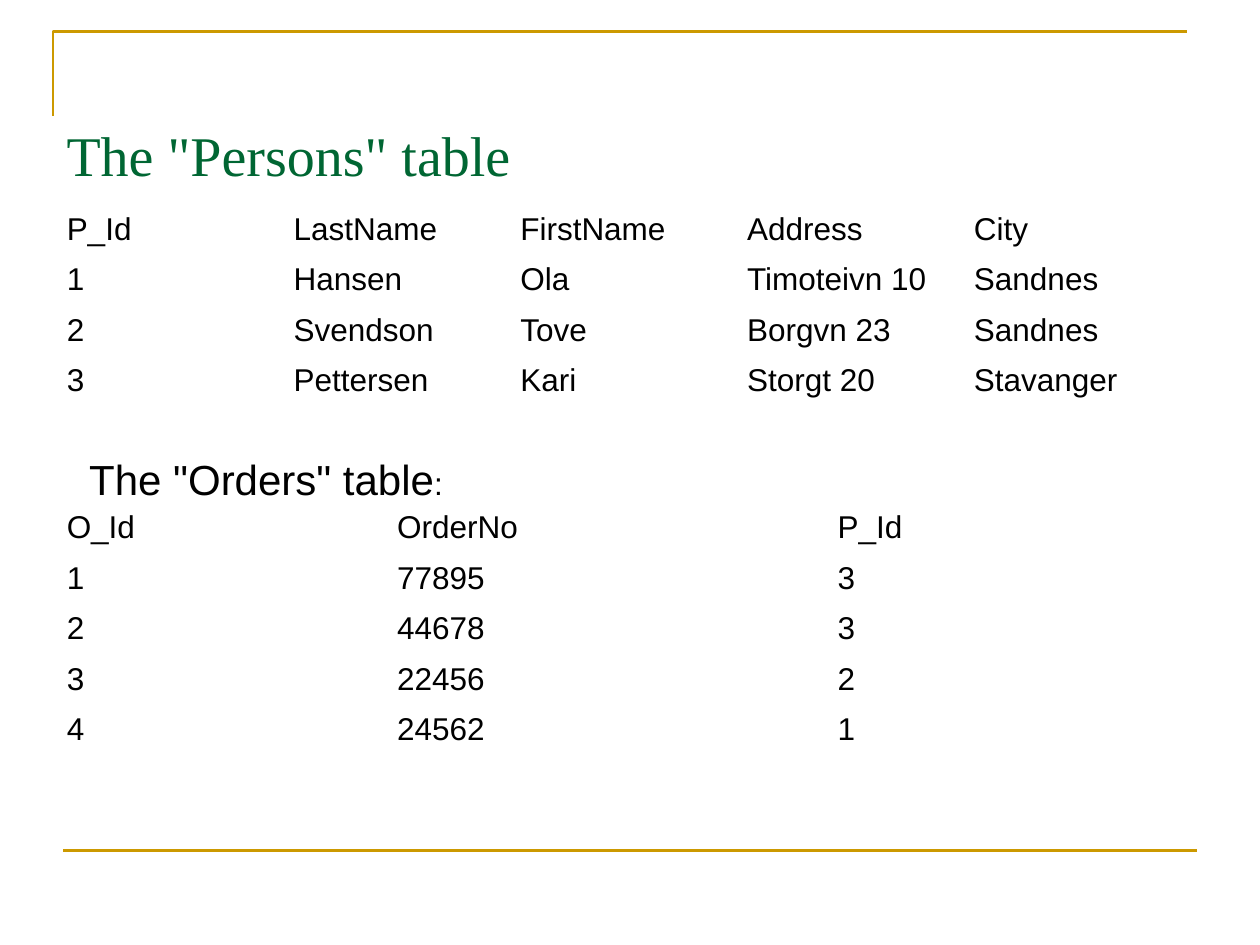
from pptx import Presentation
from pptx.dml.color import RGBColor
from pptx.enum.shapes import MSO_CONNECTOR
from pptx.enum.text import MSO_ANCHOR, MSO_AUTO_SIZE
from pptx.oxml.ns import qn
from pptx.util import Inches, Pt
from lxml.etree import SubElement

COLORS = {"rule": "CC9900", "title": "006633", "text": "000000"}
SLIDE_WIDTH, SLIDE_HEIGHT = Inches(10), Inches(7.5)
GRID_COLUMNS, GRID_ROWS = 100, 75
NO_STYLE_NO_GRID = "{2D5ABB26-0587-4C30-8999-92F81FD0307C}"

PERSONS = [
    ["P_Id", "LastName", "FirstName", "Address", "City"],
    ["1", "Hansen", "Ola", "Timoteivn 10", "Sandnes"],
    ["2", "Svendson", "Tove", "Borgvn 23", "Sandnes"],
    ["3", "Pettersen", "Kari", "Storgt 20", "Stavanger"],
]
ORDERS = [
    ["O_Id", "OrderNo", "P_Id"],
    ["1", "77895", "3"],
    ["2", "44678", "3"],
    ["3", "22456", "2"],
    ["4", "24562", "1"],
]


def grid_box(column, row, columns, rows):
    column_width = SLIDE_WIDTH / GRID_COLUMNS
    row_height = SLIDE_HEIGHT / GRID_ROWS
    return (round(column * column_width), round(row * row_height),
            round(columns * column_width), round(rows * row_height))


def style_run(run, size, font_name="Arial", color="text"):
    run.font.size = Pt(size)
    run.font.name = font_name
    run.font.color.rgb = RGBColor.from_string(COLORS[color])


def style_rule(shape):
    shape.line.color.rgb = RGBColor.from_string(COLORS["rule"])
    shape.line.width = Pt(1.5)


def add_corner_rule(slide, box):
    left, top, width, height = box
    builder = slide.shapes.build_freeform(left, top + height)
    builder.add_line_segments([(left, top), (left + width, top)], close=False)
    shape = builder.convert_to_shape()
    shape.shadow.inherit = False
    shape.fill.background()
    style_rule(shape)


def add_bottom_rule(slide, box):
    left, top, width, height = box
    connector = slide.shapes.add_connector(
        MSO_CONNECTOR.STRAIGHT, left, top, left + width, top + height)
    style_rule(connector)
    SubElement(connector._element.spPr, qn("a:effectLst"))


def add_title(slide, box):
    text_frame = slide.shapes.add_textbox(*box).text_frame
    text_frame.word_wrap = True
    text_frame.vertical_anchor = MSO_ANCHOR.TOP
    text_frame.text = 'The "Persons" table'
    style_run(text_frame.paragraphs[0].runs[0], 32, "Times New Roman", "title")


def add_orders_heading(slide, box):
    text_frame = slide.shapes.add_textbox(*box).text_frame
    text_frame.word_wrap = False
    text_frame.auto_size = MSO_AUTO_SIZE.NONE
    paragraph = text_frame.paragraphs[0]
    for text, size in [('The "Orders" table', 24), (":", 18)]:
        run = paragraph.add_run()
        run.text = text
        style_run(run, size)


def add_data_table(slide, box, records, column_shares):
    left, top, width, height = box
    table = slide.shapes.add_table(
        len(records), len(column_shares), left, top, width, height).table
    table.first_row = False
    table.horz_banding = False
    table._tbl.tblPr.find(qn("a:tableStyleId")).text = NO_STYLE_NO_GRID
    for column, share in zip(table.columns, column_shares):
        column.width = round(width * share)
    for row, record in zip(table.rows, records):
        row.height = round(height / len(records))
        for cell, text in zip(row.cells, record):
            cell.fill.background()
            cell.vertical_anchor = MSO_ANCHOR.MIDDLE
            cell.text_frame.text = text
            style_run(cell.text_frame.paragraphs[0].runs[0], 18)


def main():
    presentation = Presentation()
    presentation.slide_width = SLIDE_WIDTH
    presentation.slide_height = SLIDE_HEIGHT
    slide = presentation.slides.add_slide(presentation.slide_layouts[6])
    add_corner_rule(slide, grid_box(4.2, 2.5, 90, 6.7))
    add_bottom_rule(slide, grid_box(5, 67.5, 90, 0))
    add_title(slide, grid_box(4.3, 9.1, 90, 7.7))
    add_data_table(slide, grid_box(4.3, 16.2, 90, 16), PERSONS, [0.2] * 5)
    add_data_table(slide, grid_box(4.3, 39.9, 87.4, 20), ORDERS, [0.3, 0.4, 0.3])
    add_orders_heading(slide, grid_box(6.1, 35.5, 30.5, 5))
    presentation.save("out.pptx")


if __name__ == "__main__":
    main()
